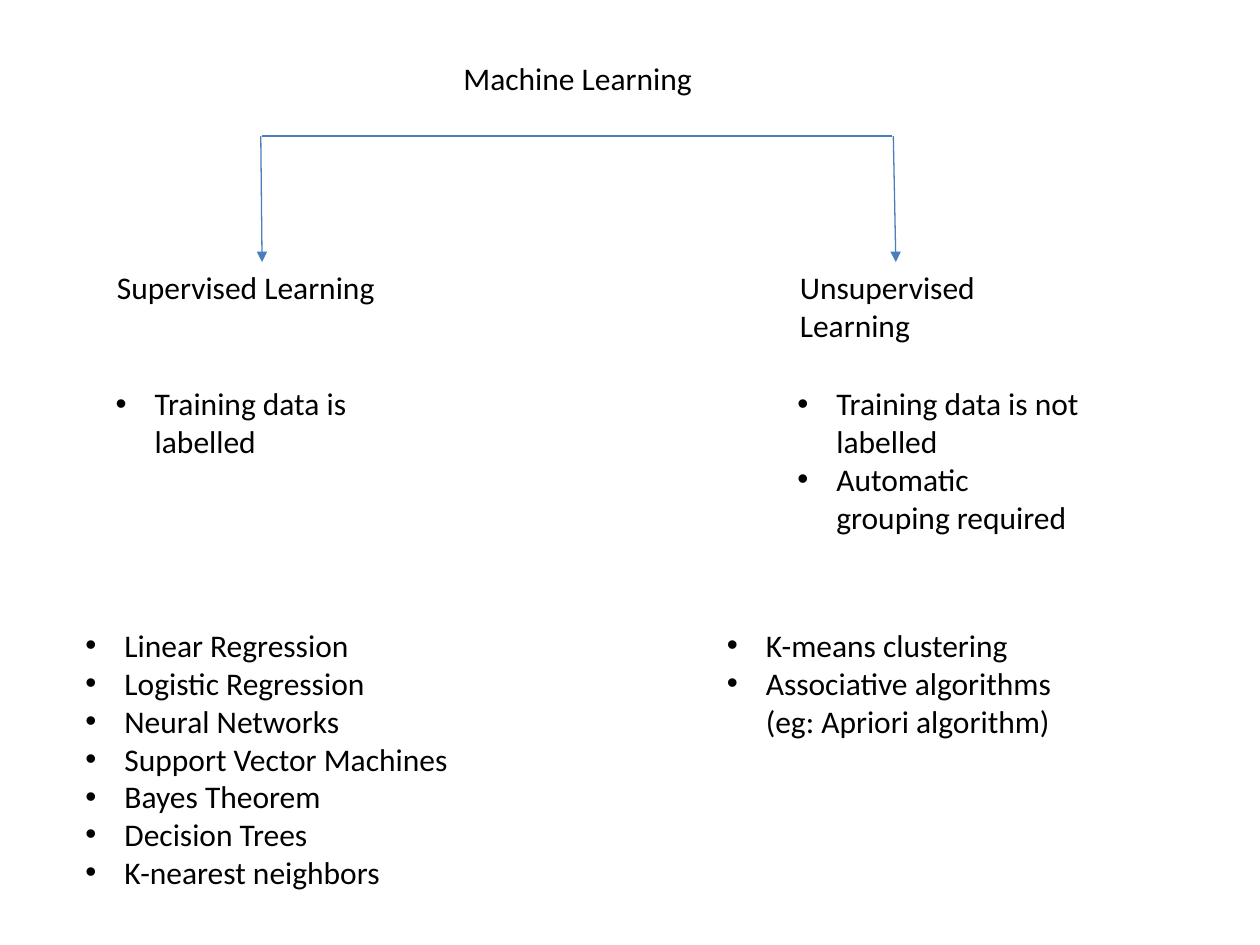
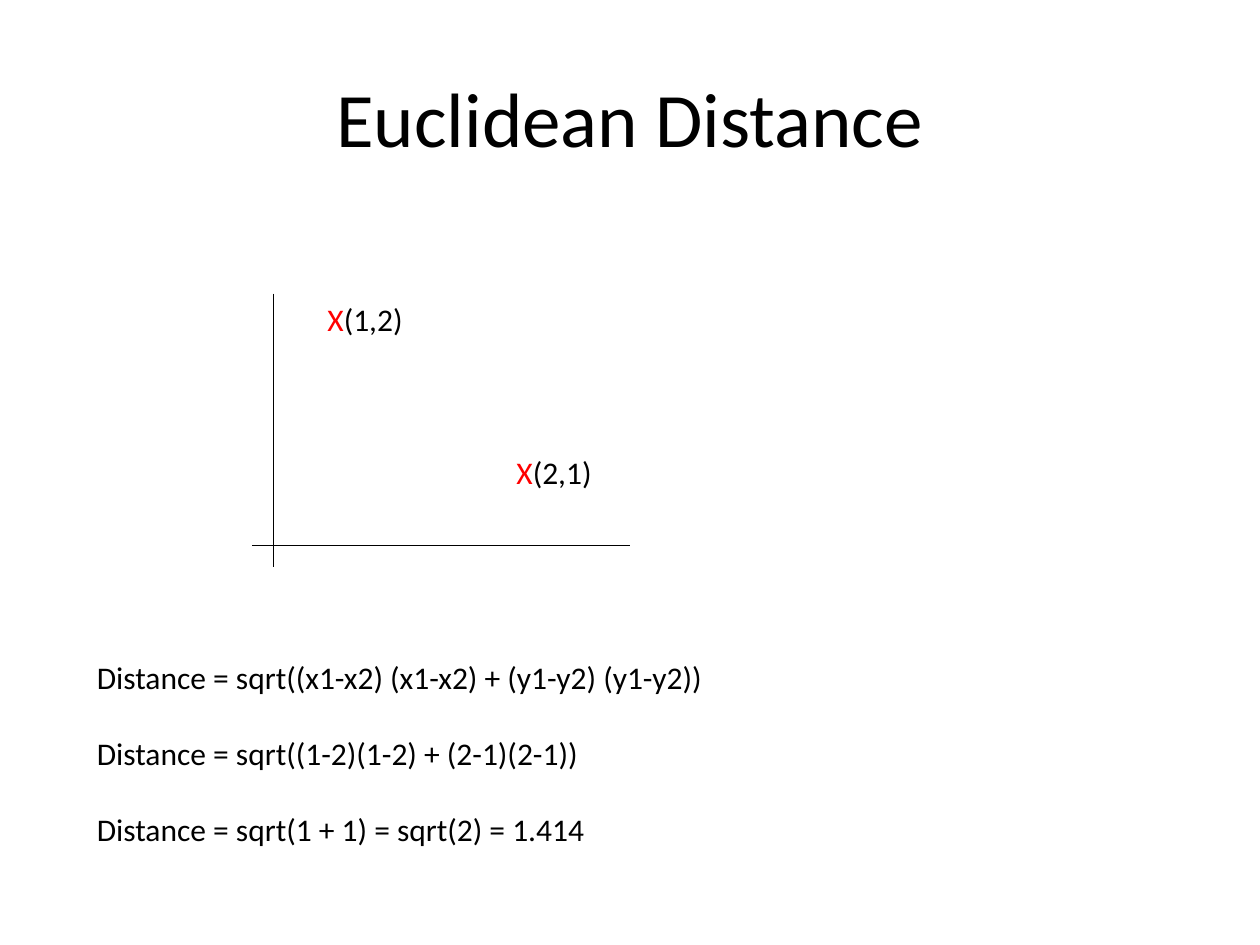
from dataclasses import dataclass

from lxml.etree import SubElement
from pptx import Presentation
from pptx.dml.color import RGBColor
from pptx.enum.shapes import MSO_CONNECTOR as Connector
from pptx.enum.text import MSO_ANCHOR as Anchor, MSO_AUTO_SIZE as AutoSize, PP_ALIGN as Align
from pptx.oxml.ns import qn
from pptx.util import Inches, Pt


@dataclass(frozen=True)
class Theme:
    font: str = "Calibri"
    ink: str = "000000"
    accent: str = "FF0000"
    arrow: str = "4B7EBC"
    title: int = 44
    body: int = 18
    gap: int = 22
    line: float = 0.75
    indent: float = 0.31


theme = Theme()


def add_text(page, place, paragraphs, size=theme.body, bullet=False, wrap=True, gap=0):
    box = page.shapes.add_textbox(*map(Inches, place))
    frame = box.text_frame
    frame.word_wrap = wrap
    frame.auto_size = AutoSize.SHAPE_TO_FIT_TEXT
    for index, runs in enumerate(paragraphs):
        para = frame.paragraphs[0] if index == 0 else frame.add_paragraph()
        para.space_before = Pt(gap if index else 0)
        if bullet:
            properties = para._p.get_or_add_pPr()
            properties.set("marL", str(Inches(theme.indent)))
            properties.set("indent", str(-Inches(theme.indent)))
            SubElement(properties, qn("a:buFont")).set("typeface", "Arial")
            SubElement(properties, qn("a:buChar")).set("char", "•")
        for text, color in [(runs, theme.ink)] if isinstance(runs, str) else runs:
            for row, part in enumerate(text.split("\n")):
                if row:
                    para.add_line_break()
                span = para.add_run()
                span.text = part
                span.font.name = theme.font
                span.font.size = Pt(size)
                span.font.color.rgb = RGBColor.from_string(color)
    return frame


def add_line(page, start, end, color, arrow=False):
    line = page.shapes.add_connector(Connector.STRAIGHT, *map(Inches, start + end))
    line.line.color.rgb = RGBColor.from_string(color)
    line.line.width = Pt(theme.line)
    if arrow:
        SubElement(line.line._get_or_add_ln(), qn("a:tailEnd")).set("type", "triangle")
    SubElement(line._element.spPr, qn("a:effectLst"))


deck = Presentation()
deck.slide_width, deck.slide_height = Inches(10), Inches(7.5)
blank = deck.slide_layouts[6]

page = deck.slides.add_slide(blank)
add_text(page, (3.58, 0.42, 2.5, 0.4), ["Machine Learning"])
add_line(page, (2.08, 1.08), (7.08, 1.08), theme.arrow)

branches = [
    ("Supervised Learning", 0.83, 0.4, (2.07, 2.08),
     ["Training data is labelled"], 0.82, 0.71,
     ["Linear Regression", "Logistic Regression", "Neural Networks", "Support Vector Machines",
      "Bayes Theorem", "Decision Trees", "K-nearest neighbors"], 0.58, 2.22),
    ("Unsupervised Learning", 6.25, 0.71, (7.09, 7.11),
     ["Training data is not labelled", "Automatic grouping required"], 6.23, 1.31,
     ["K-means clustering", "Associative algorithms\n(eg: Apriori algorithm)"], 5.67, 1.01),
]
for (name, name_left, name_height, (arrow_start, arrow_end),
     traits, traits_left, traits_height,
     methods, methods_left, methods_height) in branches:
    add_line(page, (arrow_start, 1.08), (arrow_end, 2.08), theme.arrow, arrow=True)
    add_text(page, (name_left, 2.08, 2.5, name_height), [name])
    add_text(page, (traits_left, 3, 2.5, traits_height), traits, bullet=True)
    add_text(page, (methods_left, 4.92, 3.67, methods_height), methods, bullet=True)

page = deck.slides.add_slide(blank)
title = add_text(page, (0.5, 0.3, 9, 1.25), ["Euclidean Distance"], size=theme.title)
title.auto_size = AutoSize.NONE
title.vertical_anchor = Anchor.MIDDLE
title.paragraphs[0].alignment = Align.CENTER

add_line(page, (2.17, 2.33), (2.17, 4.5), theme.ink)
add_line(page, (2, 4.33), (5, 4.33), theme.ink)
for left, top, label in [(2.5, 2.33, "(1,2)"), (4, 3.55, "(2,1)")]:
    point = [("X", theme.accent), (label, theme.ink)]
    add_text(page, (left, top, 0.81, 0.4), [point], wrap=False)

steps = [
    "Distance = sqrt((x1-x2) (x1-x2) + (y1-y2) (y1-y2))",
    "Distance = sqrt((1-2)(1-2) + (2-1)(2-1))",
    "Distance = sqrt(1 + 1) = sqrt(2) = 1.414",
]
add_text(page, (0.67, 5.17, 8.83, 1.62), steps, gap=theme.gap)

deck.save("out.pptx")
